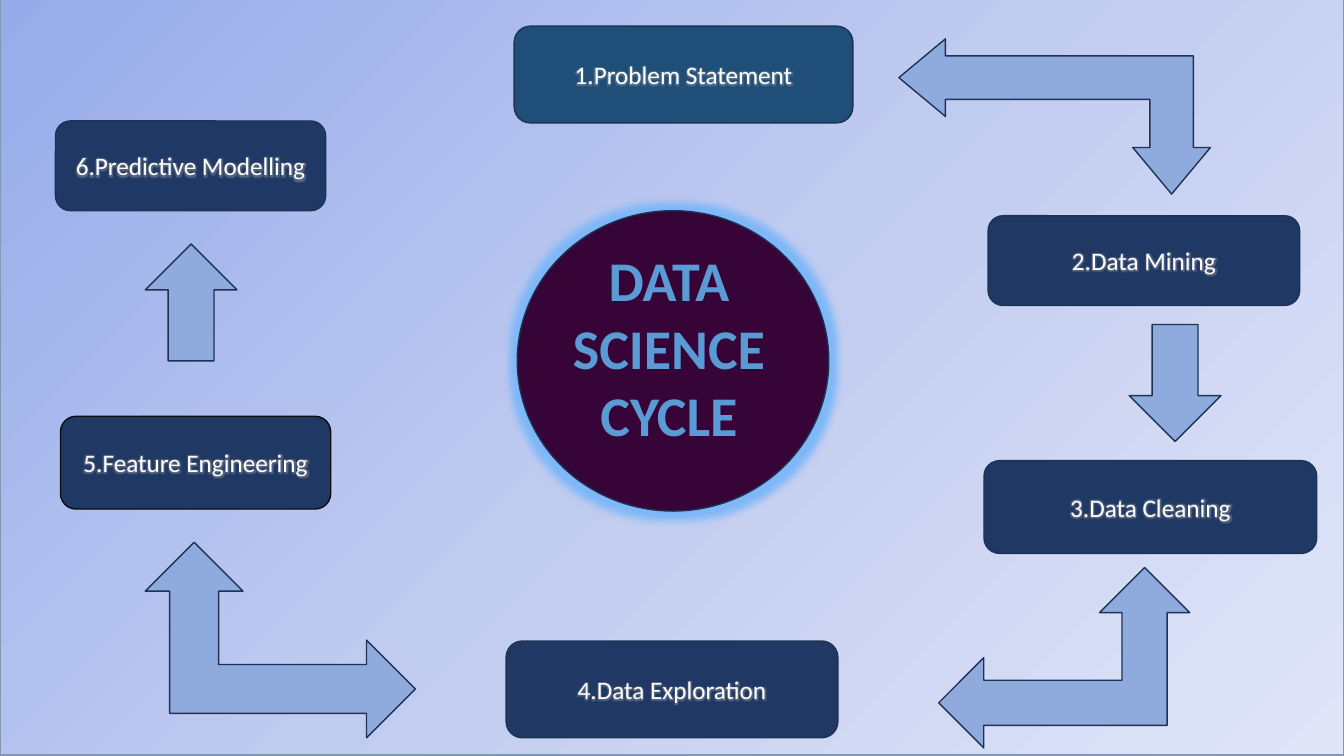
"""Build a slide of the six-step data science cycle."""
from enum import Enum
from lxml.etree import SubElement
from pptx import Presentation
from pptx.dml.color import RGBColor as RGB
from pptx.enum.shapes import MSO_SHAPE as SHAPE
from pptx.enum.text import MSO_ANCHOR as ANCHOR, MSO_AUTO_SIZE as FIT, PP_ALIGN as ALIGN
from pptx.oxml.ns import qn
from pptx.util import Inches, Pt


class Theme(Enum):
    FONT = "Calibri"
    LABEL = Pt(18)
    TITLE = Pt(40)
    LINE = Pt(1)
    SKY = ((0, "96ABEA"), (50, "C0CBF0"), (100, "E0E5F7"))
    FRAME = "8497B0"
    EDGE = "1E3256"
    DARK = "0D0D0D"
    TEAL = "1F4E79"
    NAVY = "203864"
    PLUM = "360437"
    ARROW = "8FAADC"
    BLUE = "5B9BD5"
    HALO = "7FB8F8"
    MIST = "A5A5A5"
    WHITE = "FFFFFF"


def draw(kind, box, fill, edge=Theme.EDGE, turn=0):
    shape = slide.shapes.add_shape(kind, *map(Inches, box))
    shape.shadow.inherit = False
    shape.fill.solid()
    shape.fill.fore_color.rgb = RGB.from_string(fill.value)
    shape.line.color.rgb = RGB.from_string(edge.value)
    shape.line.width = Theme.LINE.value
    shape.rotation = turn
    return shape


def glow(parent, size, tint, alpha):
    node = SubElement(parent, qn("a:glow"), rad=str(Pt(size)))
    color = SubElement(node, qn("a:srgbClr"), val=tint.value)
    SubElement(color, qn("a:alpha"), val=str(alpha * 1000))


deck = Presentation()
deck.slide_width, deck.slide_height = Inches(13.33), Inches(7.5)
slide = deck.slides.add_slide(deck.slide_layouts[5])

sky = draw(SHAPE.RECTANGLE, (0, -0.01, 13.33, 7.5), Theme.WHITE, Theme.FRAME)
sky.fill.gradient()
sky.fill.gradient_angle = 315
stops = sky._element.spPr.find(".//" + qn("a:gsLst"))
stops.clear()
for place, tint in Theme.SKY.value:
    stop = SubElement(stops, qn("a:gs"), pos=str(place * 1000))
    SubElement(stop, qn("a:srgbClr"), val=tint)

steps = [
    ("Problem Statement", (5.1, 0.26, 3.36, 0.96), Theme.TEAL, Theme.EDGE),
    ("Data Mining", (9.8, 2.14, 3.09, 0.89), Theme.NAVY, Theme.EDGE),
    ("Data Cleaning", (9.76, 4.57, 3.3, 0.92), Theme.NAVY, Theme.EDGE),
    ("Data Exploration", (5.02, 6.36, 3.29, 0.96), Theme.NAVY, Theme.EDGE),
    ("Feature Engineering", (0.6, 4.13, 2.68, 0.92), Theme.NAVY, Theme.DARK),
    ("Predictive Modelling", (0.55, 1.2, 2.68, 0.89), Theme.NAVY, Theme.EDGE),
]
for count, (name, box, fill, edge) in enumerate(steps, 1):
    step = draw(SHAPE.ROUNDED_RECTANGLE, box, fill, edge)
    step.text_frame.text = f"{count}.{name}"
    step.text_frame.vertical_anchor = ANCHOR.MIDDLE
    label = step.text_frame.paragraphs[0]
    label.alignment = ALIGN.CENTER
    label.font.name, label.font.size = Theme.FONT.value, Theme.LABEL.value
    label.font.color.rgb = RGB.from_string(Theme.WHITE.value)
    props = label.runs[0]._r.get_or_add_rPr()
    glow(SubElement(props, qn("a:effectLst")), 5, Theme.MIST, 40)

hub = draw(SHAPE.FLOWCHART_CONNECTOR, (5.13, 2.09, 3.09, 2.98), Theme.PLUM)
glow(hub._element.spPr.find(qn("a:effectLst")), 11, Theme.HALO, 100)

title = slide.shapes.title
slide.shapes._spTree.append(title._element)
title.left, title.top, title.width, title.height = map(Inches, (5.41, 2.39, 2.51, 1.88))
frame = title.text_frame
frame.text = "DATA SCIENCE CYCLE"
frame.word_wrap, frame.auto_size = True, FIT.NONE
frame.vertical_anchor = ANCHOR.TOP
frame.margin_left, frame.margin_right = Inches(0.04), Inches(0.1)
frame.margin_top = frame.margin_bottom = Inches(0.05)
head = frame.paragraphs[0]
head.alignment = ALIGN.CENTER
head.font.name, head.font.size = Theme.FONT.value, Theme.TITLE.value
head.font.bold = True
head.font.color.rgb = RGB.from_string(Theme.BLUE.value)
rim = SubElement(head.runs[0]._r.get_or_add_rPr(), qn("a:ln"), w=str(Pt(0.75)))
SubElement(SubElement(rim, qn("a:solidFill")), qn("a:srgbClr"), val=Theme.WHITE.value)

arrows = [
    (SHAPE.DOWN_ARROW, (11.2, 3.22, 0.91, 1.16), 0, ()),
    (SHAPE.DOWN_ARROW, (1.44, 2.42, 0.91, 1.16), 180, ()),
    (SHAPE.LEFT_UP_ARROW, (9.31, 5.63, 2.49, 1.79), 0, ()),
    (SHAPE.LEFT_UP_ARROW, (1.81, 5.01, 1.94, 2.68), 90, ()),
    (SHAPE.LEFT_UP_ARROW, (9.69, -0.39, 1.54, 3.09), 270, (0.28, 0.25, 0.3)),
]
for kind, box, turn, bends in arrows:
    arrow = draw(kind, box, Theme.ARROW, turn=turn)
    for spot, bend in enumerate(bends):
        arrow.adjustments[spot] = bend

deck.save("out.pptx")
